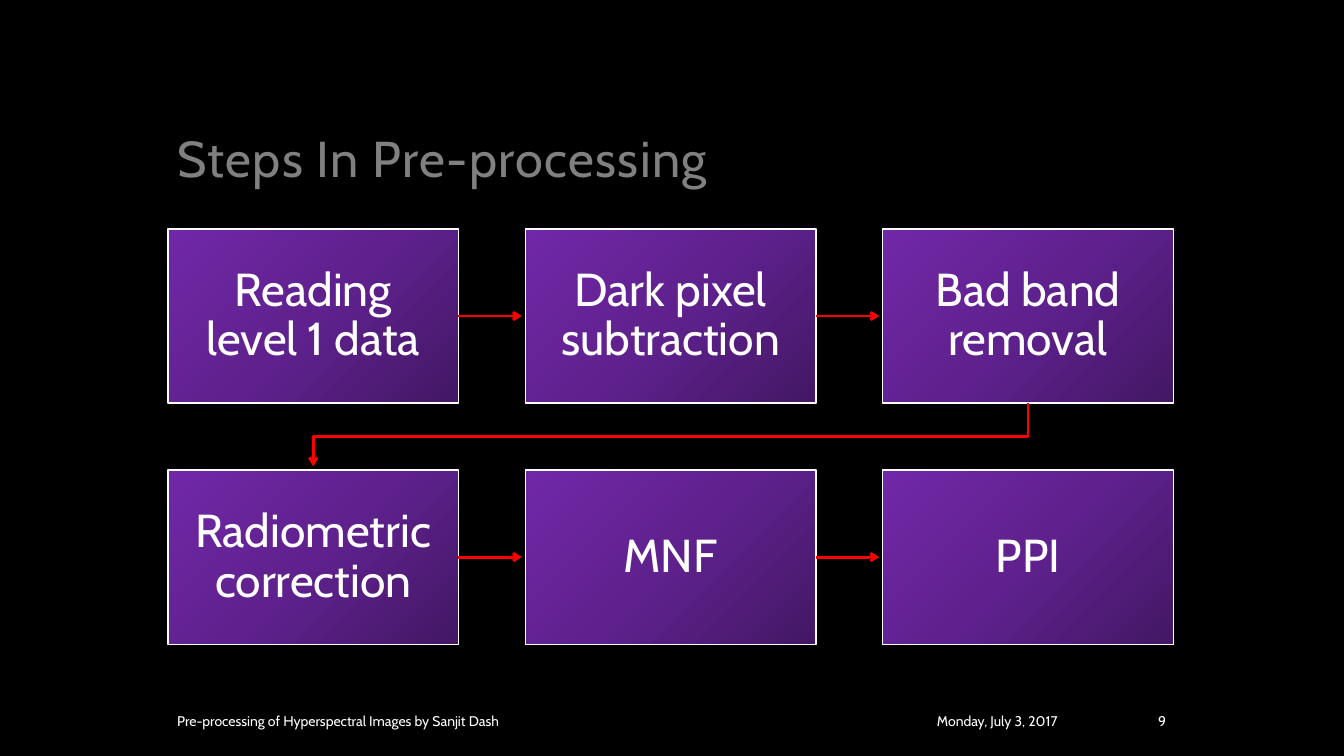
from copy import deepcopy
from dataclasses import dataclass

from pptx import Presentation
from pptx.dml.color import RGBColor as RGB
from pptx.enum.shapes import MSO_CONNECTOR as CONN, MSO_SHAPE as SHAPE
from pptx.enum.text import MSO_ANCHOR as ANCHOR, MSO_AUTO_SIZE as AUTO, PP_ALIGN as ALIGN
from pptx.oxml.ns import qn
from pptx.util import Pt


@dataclass(frozen=True)
class Theme:
    font: str = "Cabin"
    background: RGB = RGB(0, 0, 0)
    title: RGB = RGB(0x80, 0x80, 0x80)
    text: RGB = RGB(0xFF, 0xFF, 0xFF)
    arrow: RGB = RGB(0xFF, 0, 0)
    gradient: tuple = (RGB(0x43, 0x17, 0x64), RGB(0x5F, 0x21, 0x8E), RGB(0x71, 0x28, 0xA8))
    title_size: int = 36
    step_size: int = 33
    footer_size: int = 10


THEME = Theme()

# Step grid, in points
COLUMNS = 3
LEFT, TOP = 120, 163.5
BOX_W, BOX_H = 207.5, 124.5
PITCH_X, PITCH_Y = 255.3, 172.2
ARROW_GAP = 2.6
PADDING = 18.5

STEPS = ["Reading level 1 data", "Dark pixel subtraction", "Bad band removal",
         "Radiometric correction", "MNF", "PPI"]


def put_text(sp, text, size, color=THEME.text, align=ALIGN.LEFT,
             anchor=ANCHOR.MIDDLE, line_spacing=1.0, tracking=0):
    tf = sp.text_frame
    tf.word_wrap = True
    tf.auto_size = AUTO.NONE
    tf.vertical_anchor = anchor
    p = tf.paragraphs[0]
    p.alignment = align
    p.line_spacing = line_spacing
    r = p.add_run()
    r.text = text
    r.font.name = THEME.font
    r.font.size = Pt(size)
    r.font.color.rgb = color
    if tracking:
        r.font._element.set("spc", str(tracking * 100))


def place(sp, x, y, w, h):
    sp.left, sp.top, sp.width, sp.height = Pt(x), Pt(y), Pt(w), Pt(h)


def add_title(s, text):
    sp = s.shapes.title
    place(sp, 119.5, 30, 720, 108)
    put_text(sp, text, THEME.title_size, color=THEME.title, anchor=ANCHOR.BOTTOM,
             line_spacing=0.9, tracking=1)


def fill_gradient(sp):
    sp.fill.gradient()
    sp.fill.gradient_angle = 135
    # The default gradient has two stops; add one in the middle
    first = sp.fill._xPr.find(qn("a:gradFill")).find(qn("a:gsLst"))[0]
    first.addnext(deepcopy(first))
    for stop, position, color in zip(sp.fill.gradient_stops, (0, 0.5, 1), THEME.gradient):
        stop.position = position
        stop.color.rgb = color


def add_step(s, index, text):
    row, col = divmod(index, COLUMNS)
    sp = s.shapes.add_shape(SHAPE.RECTANGLE, Pt(LEFT + col * PITCH_X),
                            Pt(TOP + row * PITCH_Y), Pt(BOX_W), Pt(BOX_H))
    sp.shadow.inherit = False
    fill_gradient(sp)
    sp.line.color.rgb = THEME.text
    sp.line.width = Pt(1)
    tf = sp.text_frame
    tf.margin_left = tf.margin_right = tf.margin_top = tf.margin_bottom = Pt(PADDING)
    put_text(sp, text, THEME.step_size, align=ALIGN.CENTER, line_spacing=0.9)
    return sp


def style_arrow(sp):
    sp.line.color.rgb = THEME.arrow
    sp.line.width = Pt(2)
    ln = sp.line._get_or_add_ln()
    ln.append(ln.makeelement(qn("a:tailEnd"), {"type": "arrow"}))


def add_arrow(s, start, end):
    y = start.top + start.height // 2
    sp = s.shapes.add_connector(CONN.STRAIGHT, start.left + start.width, y,
                                end.left - Pt(ARROW_GAP), y)
    sp.begin_connect(start, 3)
    style_arrow(sp)
    sp_pr = sp._element.spPr
    sp_pr.append(sp_pr.makeelement(qn("a:effectLst"), {}))


def add_row_arrow(s, start, end):
    """Bent arrow from the end of one row to the start of the next."""
    x1, x2 = (box.left + box.width // 2 for box in (start, end))
    y1 = start.top + start.height
    middle = (y1 + end.top) // 2
    path_builder = s.shapes.build_freeform(x1, y1)
    path_builder.add_line_segments(
        [(x1, middle), (x2, middle), (x2, end.top - Pt(ARROW_GAP))], close=False)
    sp = path_builder.convert_to_shape()
    sp.shadow.inherit = False
    sp.fill.background()
    style_arrow(sp)


def add_footer(s, text, x, w, align=ALIGN.LEFT):
    sp = s.shapes.add_textbox(Pt(x), Pt(504), Pt(w), Pt(21.6))
    put_text(sp, text, THEME.footer_size, align=align)


def main():
    prs = Presentation()
    prs.slide_width, prs.slide_height = Pt(960), Pt(540)
    s = prs.slides.add_slide(prs.slide_layouts[5])
    s.background.fill.solid()
    s.background.fill.fore_color.rgb = THEME.background

    add_title(s, "Steps In Pre-processing")

    # Process steps and the arrows between them
    boxes = [add_step(s, i, text) for i, text in enumerate(STEPS)]
    for i, (start, end) in enumerate(zip(boxes, boxes[1:]), 1):
        connect = add_arrow if i % COLUMNS else add_row_arrow
        connect(s, start, end)

    # Footer
    add_footer(s, "Monday, July 3, 2017", 648, 114.5, ALIGN.RIGHT)
    add_footer(s, "Pre-processing of Hyperspectral Images by Sanjit Dash", 119.5, 516)
    add_footer(s, "9", 774, 66, ALIGN.RIGHT)

    prs.save("out.pptx")


if __name__ == "__main__":
    main()
